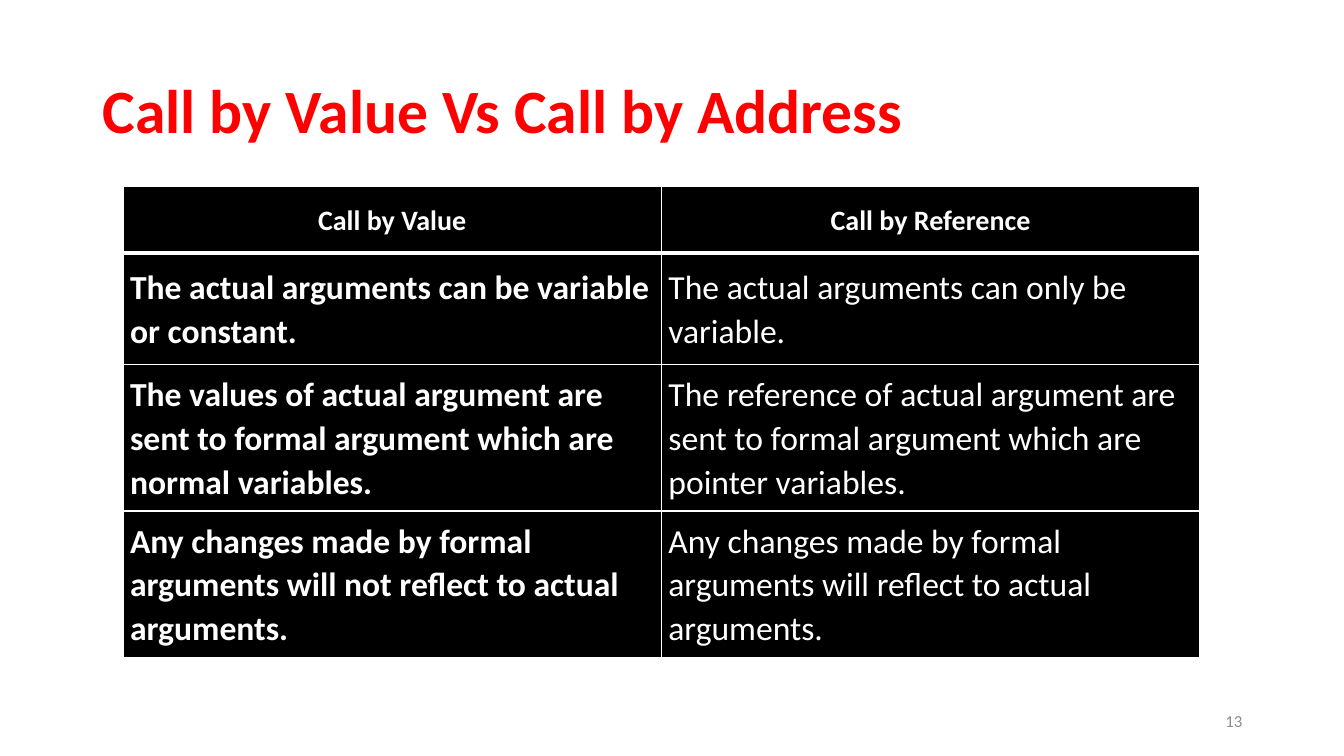
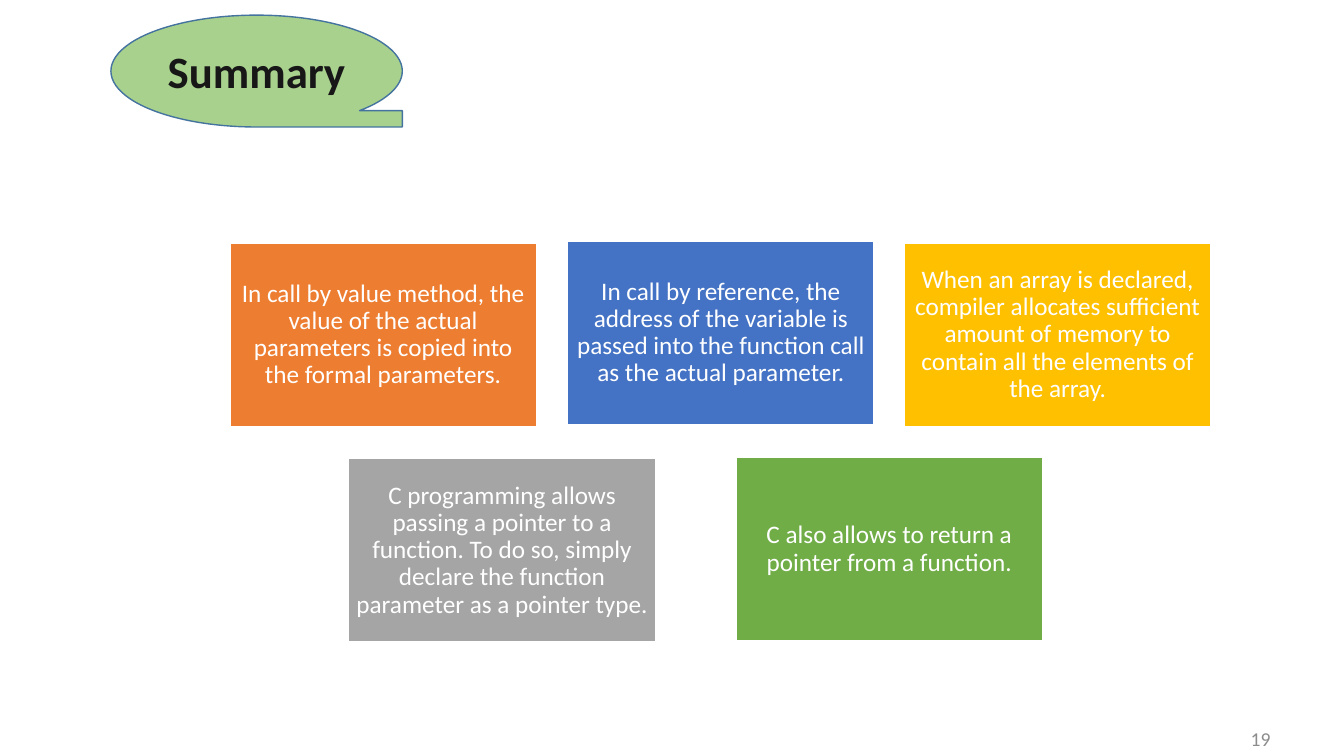
from lxml import etree
from pptx import Presentation
from pptx.dml.color import RGBColor
from pptx.enum import shapes, text
from pptx.oxml import ns
from pptx.util import Emu, Pt

SCALE = 9144  # EMU per px, 100 px to the inch
FONT = "Calibri"
COLORS = {
    "white": "FFFFFF", "black": "000000", "title": "FF0000", "number": "8C8C8C",
    "badge": "A9D18E", "badge line": "43739E", "badge text": "181717",
    "orange": "ED7D31", "grey": "A5A5A5", "yellow": "FFC000",
    "blue": "4472C4", "green": "70AD47",
}
ALIGN = text.PP_ALIGN

COMPARISON = [
    ("Call by Value", "Call by Reference"),
    ("The actual arguments can be variable or constant.",
     "The actual arguments can only be variable."),
    ("The values of actual argument are sent to formal argument which are normal variables.",
     "The reference of actual argument are sent to formal argument which are pointer variables."),
    ("Any changes made by formal arguments will not reflect to actual arguments.",
     "Any changes made by formal arguments will reflect to actual arguments."),
]
CARDS = [
    (228, 241, "orange", "In call by value method, the value of the actual parameters "
                         "is copied into the formal parameters."),
    (563, 239, "blue", "In call by reference, the address of the variable is passed "
                       "into the function call as the actual parameter."),
    (897, 241, "yellow", "When an array is declared, compiler allocates sufficient amount "
                         "of memory to contain all the elements of the array."),
    (346, 455, "grey", "C programming allows passing a pointer to a function. To do so, "
                       "simply declare the function parameter as a pointer type."),
    (730, 454, "green", "C also allows to return a pointer from a function."),
]


def px(length):
    return Emu(length * SCALE)


def rgb(name):
    return RGBColor.from_string(COLORS[name])


def set_insets(holder, inset):
    holder.margin_left = holder.margin_right = px(inset)
    holder.margin_top = holder.margin_bottom = px(inset)


class Slides:
    def __init__(self, width, height):
        self.deck = Presentation()
        self.deck.slide_width, self.deck.slide_height = px(width), px(height)
        self.page = None

    def new_page(self):
        self.page = self.deck.slides.add_slide(self.deck.slide_layouts[6])

    def add_words(self, frame, words, size, color, bold=False, align=ALIGN.LEFT, spacing=1.0):
        frame.word_wrap = True
        para = frame.paragraphs[0]
        para.alignment, para.line_spacing = align, spacing
        span = para.add_run()
        span.text = words
        span.font.name, span.font.size, span.font.bold = FONT, Pt(size), bold
        span.font.color.rgb = rgb(color)
        return para

    def label(self, place, words, size, color, **style):
        frame = self.page.shapes.add_textbox(*map(px, place)).text_frame
        frame.vertical_anchor = text.MSO_ANCHOR.MIDDLE
        self.add_words(frame, words, size, color, **style)

    def title(self, words):
        self.label((92, 40, 1150, 145), words, 44, "title", bold=True, spacing=0.9)

    def page_number(self, place, number, size):
        self.label(place, str(number), size, "number", align=ALIGN.RIGHT)

    def shape(self, kind, place, fill, line, words, size, color, inset=None, **style):
        box = self.page.shapes.add_shape(kind, *map(px, place))
        box.shadow.inherit = False
        box.fill.solid()
        box.fill.fore_color.rgb = rgb(fill)
        box.line.color.rgb, box.line.width = rgb(line), Pt(1)
        frame = box.text_frame
        frame.vertical_anchor = text.MSO_ANCHOR.MIDDLE
        if inset is not None:
            set_insets(frame, inset)
        self.add_words(frame, words, size, color, align=ALIGN.CENTER, **style)

    def badge(self, place, words):
        self.shape(shapes.MSO_SHAPE.FLOWCHART_SEQUENTIAL_ACCESS_STORAGE, place,
                   "badge", "badge line", words, 32, "badge text", bold=True)

    def card(self, left, top, fill, words):
        self.shape(shapes.MSO_SHAPE.RECTANGLE, (left, top, 304, 182), fill, "white",
                   words, 18, "white", inset=7, spacing=0.9)

    def cell_borders(self, cell, widths):
        """Draw white borders; widths maps a side tag to points."""
        props = cell._tc.get_or_add_tcPr()
        for position, (side, width) in enumerate(widths.items()):
            line = etree.Element(ns.qn(f"a:{side}"), w=str(Pt(width)))
            fill = etree.SubElement(line, ns.qn("a:solidFill"))
            etree.SubElement(fill, ns.qn("a:srgbClr"), val=COLORS["white"])
            props.insert(position, line)

    def table(self, left, top, column_width, row_heights, rows):
        """Black table with a centred header and a bold first column."""
        columns = len(rows[0])
        grid = self.page.shapes.add_table(
            len(rows), columns, px(left), px(top),
            px(column_width * columns), px(sum(row_heights))).table
        grid.first_row = grid.horz_banding = False
        for column in grid.columns:
            column.width = px(column_width)
        for r, (height, row) in enumerate(zip(row_heights, rows)):
            grid.rows[r].height = px(height)
            header = r == 0
            for c, words in enumerate(row):
                cell = grid.cell(r, c)
                cell.fill.solid()
                cell.fill.fore_color.rgb = rgb("black")
                cell.vertical_anchor = text.MSO_ANCHOR.MIDDLE
                set_insets(cell, 7)
                para = self.add_words(cell.text_frame, words, 20 if header else 24, "white",
                                      bold=header or c == 0, spacing=1.07,
                                      align=ALIGN.CENTER if header else ALIGN.LEFT)
                para.space_after = Pt(15)
                self.cell_borders(cell, {"lnL": 1, "lnR": 1, "lnT": 3 if r == 1 else 1,
                                         "lnB": 3 if header else 1})


def main():
    slides = Slides(1333, 750)

    slides.new_page()
    slides.title("Call by Value Vs Call by Address")
    slides.table(122, 185, 534, (66, 111, 145, 145), COMPARISON)
    slides.page_number((942, 695, 300, 40), 13, 12)

    slides.new_page()
    slides.page_number((1046, 730, 224, 5), 19, 14)
    slides.badge((110, 15, 289, 111), "Summary")
    for card in CARDS:
        slides.card(*card)

    slides.deck.save("out.pptx")


if __name__ == "__main__":
    main()
